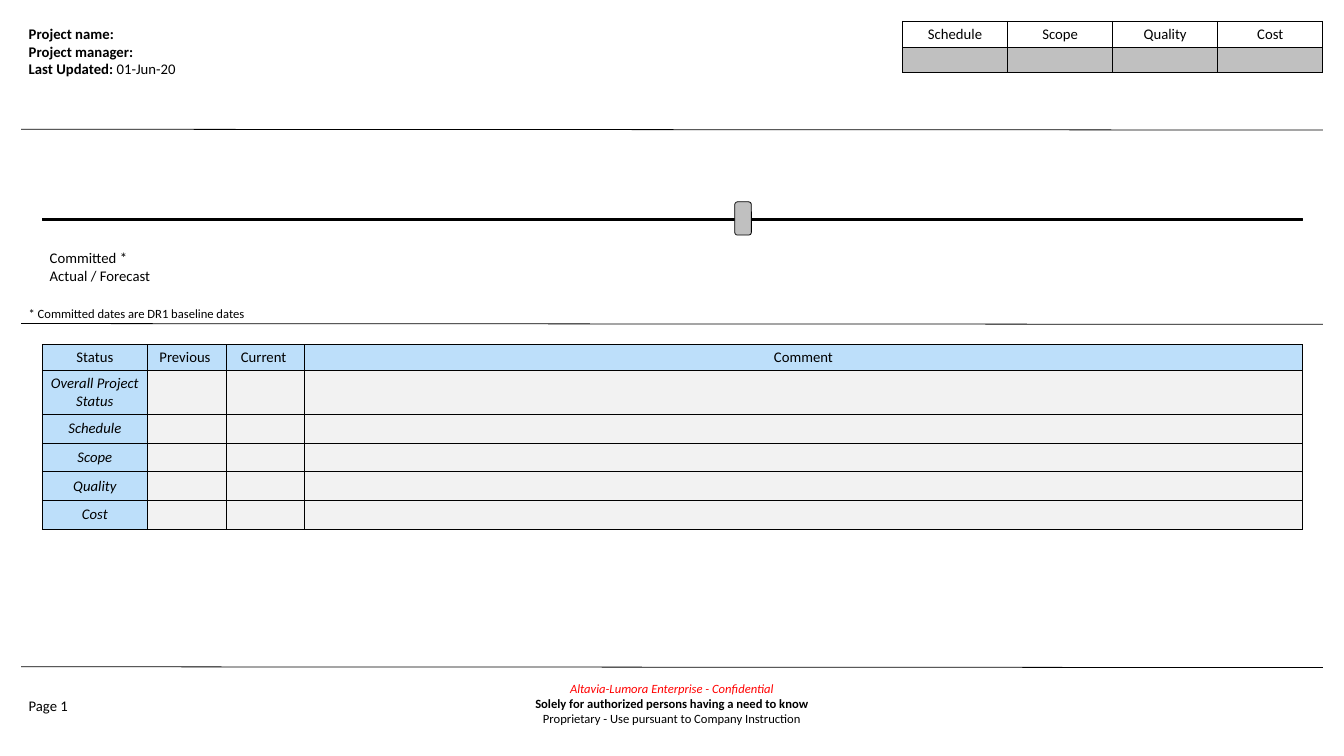
from lxml import etree
from pptx import Presentation
from pptx import util as u
from pptx.dml.color import RGBColor
from pptx.enum import shapes, text
from pptx.oxml.ns import qn

FONT = "Calibri"
BLACK, RED, GREY = "000000", "FF0000", "C0C0C0"
BLUE, PALE = "BDDFFA", "F2F2F2"

# Content: each run is (text, format)
HEAD = [("Project name: \nProject manager: \nLast Updated: ", {"bold": True}),
        ("01-Jun-20", {})]
FOOT = [("Altavia-Lumora Enterprise - Confidential\n", {"color": RED, "italic": True}),
        ("Solely for authorized persons having a need to know\n", {"bold": True}),
        ("Proprietary - Use pursuant to Company Instruction", {})]
DATES = [("Committed *\nActual / Forecast", {})]
NOTE = [("* Committed dates are DR1 baseline dates", {})]
PAGE = [("Page 1", {})]
TOPICS = ["Schedule", "Scope", "Quality", "Cost"]
COLS = ["Status", "Previous ", "Current ", "Comment"]
ROWS = ["Overall Project Status"] + TOPICS

# Layout, in inches
LEFT, RIGHT = 0.28, 17.5
RULES = [1.71, 4.28, 8.82]
INNER, SPAN = 0.56, 16.67


def rgb(code):
    return RGBColor.from_string(code)


def box(at):
    return [u.Inches(n) for n in at]


def write(frame, runs, size=14, align=text.PP_ALIGN.LEFT):
    frame.word_wrap = True
    para = frame.paragraphs[0]
    para.alignment = align
    for words, form in runs:
        for n, line in enumerate(words.split("\n")):
            if n:
                para.add_line_break()
            if not line:
                continue
            run = para.add_run()
            run.text = line
            font = run.font
            font.name, font.size = FONT, u.Pt(size)
            font.bold = form.get("bold", False)
            font.italic = form.get("italic", False)
            font.color.rgb = rgb(form.get("color", BLACK))


def label(slide, at, runs, **form):
    write(slide.shapes.add_textbox(*box(at)).text_frame, runs, **form)


def rule(slide, y):
    line = slide.shapes.add_connector(
        shapes.MSO_CONNECTOR.STRAIGHT, *box((LEFT, y, RIGHT, y + 0.01)))
    line.line.color.rgb = rgb(BLACK)
    line.line.width = u.Pt(0.75)
    etree.SubElement(line._element.spPr, qn("a:effectLst"))


def block(slide, kind, at, fill):
    item = slide.shapes.add_shape(kind, *box(at))
    item.shadow.inherit = False
    item.fill.solid()
    item.fill.fore_color.rgb = rgb(fill)
    item.line.color.rgb = rgb(BLACK)
    item.line.width = u.Pt(0.75)


def border(cell):
    props = cell._tc.get_or_add_tcPr()
    for n, side in enumerate(("lnL", "lnR", "lnT", "lnB")):
        line = etree.Element(qn("a:" + side), w=str(u.Pt(0.75)))
        fill = etree.SubElement(line, qn("a:solidFill"))
        etree.SubElement(fill, qn("a:srgbClr"), val=BLACK)
        props.insert(n, line)


def grid(slide, left, top, wide, high, data, style):
    """Draw a table; style(row, col) gives the fill and the run format."""
    table = slide.shapes.add_table(
        len(high), len(wide), *box((left, top, sum(wide), sum(high)))).table
    table.first_row = table.horz_banding = False
    for col, size in zip(table.columns, wide):
        col.width = u.Inches(size)
    for r, size in enumerate(high):
        table.rows[r].height = u.Inches(size)
        for c in range(len(wide)):
            cell = table.cell(r, c)
            fill, form = style(r, c)
            if fill:
                cell.fill.solid()
                cell.fill.fore_color.rgb = rgb(fill)
            else:
                cell.fill.background()
            border(cell)
            cell.vertical_anchor = text.MSO_ANCHOR.MIDDLE
            write(cell.text_frame, [(data[r][c], form)], align=text.PP_ALIGN.CENTER)
            if not data[r][c]:
                cell.text_frame.paragraphs[0].font.size = u.Pt(14)


def main():
    deck = Presentation()
    deck.slide_width, deck.slide_height = u.Inches(17.78), u.Inches(10)
    slide = deck.slides.add_slide(deck.slide_layouts[5])

    # Project header and ratings
    title = slide.shapes.title
    title.left, title.top, title.width, title.height = box((LEFT, 0.28, 6.94, 0.83))
    write(title.text_frame, HEAD)
    title.text_frame.auto_size = text.MSO_AUTO_SIZE.NONE
    title.text_frame.vertical_anchor = text.MSO_ANCHOR.TOP
    grid(slide, 11.94, 0.28, [1.39] * 4, [0.34] * 2, [TOPICS, [""] * 4],
         lambda r, c: (GREY if r else None, {}))

    for y in RULES:
        rule(slide, y)

    # Timeline with its marker
    block(slide, shapes.MSO_SHAPE.RECTANGLE, (INNER, 2.89, SPAN, 0.03), BLACK)
    block(slide, shapes.MSO_SHAPE.ROUNDED_RECTANGLE, (9.72, 2.67, 0.22, 0.44), GREY)
    label(slide, (INNER, 3.24, 1.94, 0.49), DATES)
    label(slide, (LEFT, 4, 3.47, 0.24), NOTE, size=12)

    # Status table
    data = [COLS] + [[name, "", "", ""] for name in ROWS]
    grid(slide, INNER, 4.56, [1.39, 1.04, 1.04, 13.2], [0.34, 0.58] + [0.38] * 4, data,
         lambda r, c: (PALE if r and c else BLUE, {"italic": r > 0}))

    # Footer
    label(slide, (LEFT, 9.17, 1.11, 0.24), PAGE)
    label(slide, (6.46, 8.96, 4.86, 0.69), FOOT, size=12, align=text.PP_ALIGN.CENTER)

    deck.save("out.pptx")


if __name__ == "__main__":
    main()
